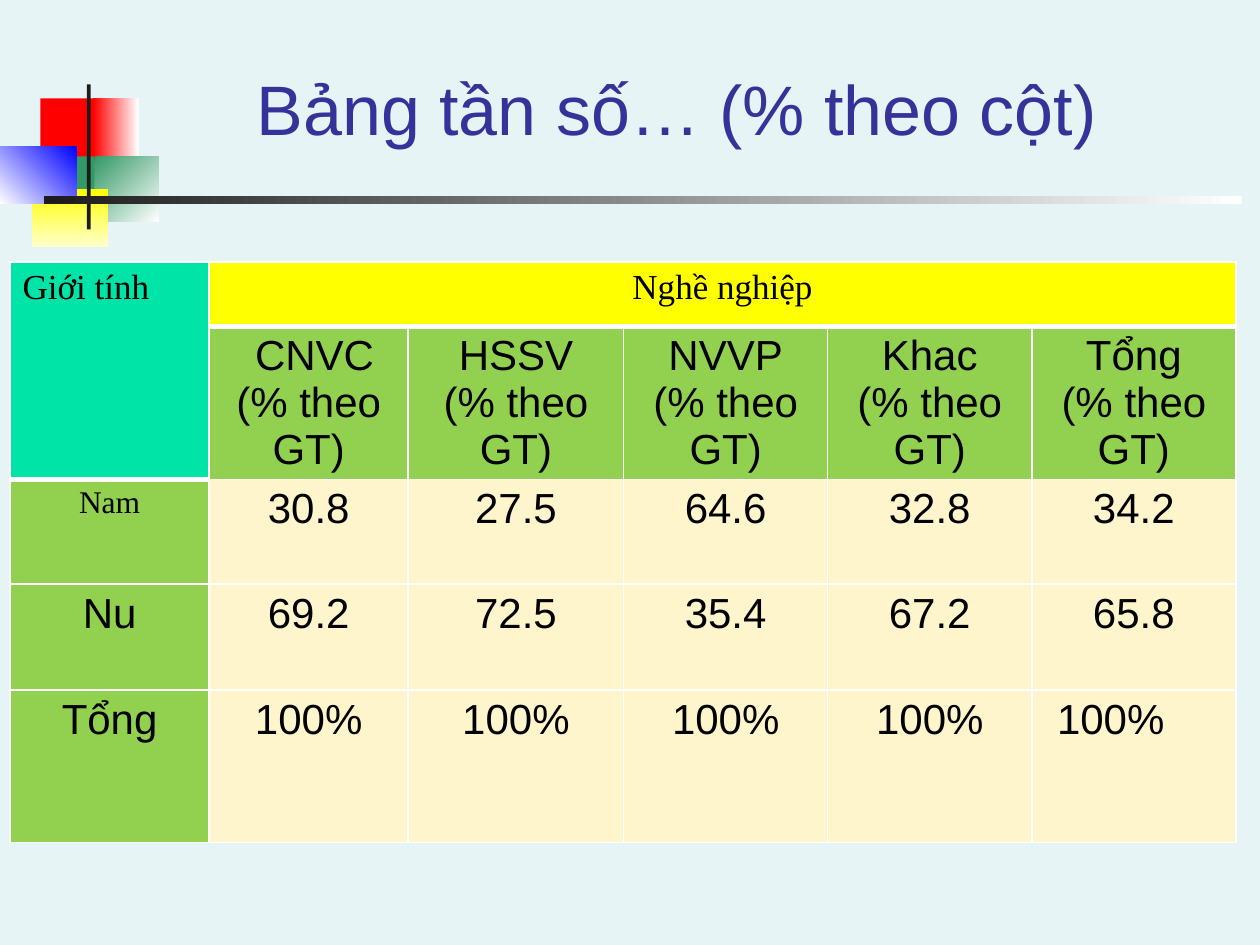
from lxml.etree import SubElement
from pptx import Presentation
from pptx.dml.color import RGBColor
from pptx.enum.shapes import MSO_SHAPE
from pptx.enum.text import MSO_ANCHOR, PP_ALIGN
from pptx.oxml.ns import qn
from pptx.util import Inches, Pt

TEAL, YELLOW, GREEN, CREAM = "00E4A8", "FFFF00", "92D050", "FFF5CC"
SERIF = "Times New Roman"


def color(code):
    """Turn a hex string into a colour."""
    return RGBColor.from_string(code)


def write(frame, text, size=24, font="Arial", ink="000000", align=PP_ALIGN.CENTER):
    """Fill a text frame with formatted lines."""
    frame.text = text
    for paragraph in frame.paragraphs:
        paragraph.alignment = align
        paragraph.font.size = Pt(size)
        paragraph.font.name = font
        paragraph.font.color.rgb = color(ink)


class FrequencySlide:
    """Hold the slide and its style, and add its elements."""

    def __init__(self, presentation, background):
        """Start a title-only slide with a plain background."""
        self.slide = presentation.slides.add_slide(presentation.slide_layouts[5])
        self.slide.background.fill.solid()
        self.slide.background.fill.fore_color.rgb = color(background)

    def title(self, text, box):
        """Place and format the title."""
        heading = self.slide.shapes.title
        heading.left, heading.top, heading.width, heading.height = map(Inches, box)
        heading.text_frame.vertical_anchor = MSO_ANCHOR.BOTTOM
        write(heading.text_frame, text, size=40, ink="333399")

    def block(self, box, start, end=None, angle=0):
        """Add a rectangle, solid or with a clockwise gradient angle."""
        block = self.slide.shapes.add_shape(MSO_SHAPE.RECTANGLE, *map(Inches, box))
        block.shadow.inherit = False
        block.line.fill.background()
        if end is None:
            block.fill.solid()
            block.fill.fore_color.rgb = color(start)
            return
        block.fill.gradient()
        block.fill.gradient_angle = (360 - angle) % 360
        for stop, position, code in zip(block.fill.gradient_stops, (0, 1), (start, end)):
            stop.position = position
            stop.color.rgb = color(code)

    def table(self, left, top, widths, heights):
        """Add an unbanded table with the given columns and rows."""
        table = self.slide.shapes.add_table(
            len(heights), len(widths), Inches(left), Inches(top),
            Inches(sum(widths)), Inches(sum(heights))).table
        table.first_row = table.horz_banding = False
        for column, width in zip(table.columns, widths):
            column.width = Inches(width)
        for row, height in zip(table.rows, heights):
            row.height = Inches(height)
        return table

    def cell(self, cell, text, fill, bottom=1, **style):
        """Border, fill and write one table cell."""
        properties = cell._tc.get_or_add_tcPr()
        for side, width in (("L", 1), ("R", 1), ("T", 1), ("B", bottom)):
            border = SubElement(properties, qn(f"a:ln{side}"), w=str(Pt(width)))
            SubElement(SubElement(border, qn("a:solidFill")), qn("a:srgbClr"), val="FFFFFF")
        cell.fill.solid()
        cell.fill.fore_color.rgb = color(fill)
        write(cell.text_frame, text, **style)


def main():
    """Build the frequency table slide."""
    presentation = Presentation()
    presentation.slide_width, presentation.slide_height = Inches(10), Inches(7.5)
    page = FrequencySlide(presentation, "E7F4F5")

    for ornament in (
        ((0.32, 0.78, 0.48, 0.52), "FF0000"),
        ((0.74, 0.78, 0.36, 0.52), "FF0000", "FFFFFF"),
        ((0.75, 1.24, 0.51, 0.52), "339966", "FFFFFF", 45),
        ((0.43, 1.24, 0.32, 0.52), "339966"),
        ((0.25, 1.5, 0.61, 0.46), YELLOW, "FFFFCC", 90),
        ((0, 1.16, 0.61, 0.46), "FFFFFF", "0000FF", 315),
        ((0.69, 0.67, 0.03, 1.15), "1C1C1C"),
        ((0.35, 1.56, 9.51, 0.06), "1C1C1C", "FFFFFF"),
    ):
        page.block(*ornament)

    table = page.table(0.08, 2.08, (1.58, 1.58, 1.71, 1.62, 1.62, 1.62),
                       (0.51, 1.21, 0.83, 0.84, 1.21))
    table.cell(0, 0).merge(table.cell(1, 0))
    table.cell(0, 1).merge(table.cell(0, 5))
    page.cell(table.cell(0, 0), "Giới tính", TEAL, bottom=3,
              size=20, font=SERIF, align=PP_ALIGN.LEFT)
    page.cell(table.cell(1, 0), "", TEAL, bottom=3)
    page.cell(table.cell(0, 1), "Nghề nghiệp", YELLOW, bottom=3, size=20, font=SERIF)
    for column in range(2, 6):
        page.cell(table.cell(0, column), "", YELLOW, bottom=3)

    for column, job in enumerate((" CNVC", "HSSV", "NVVP", "Khac", "Tổng"), 1):
        page.cell(table.cell(1, column), f"{job}\n(% theo GT)", GREEN)

    shares = (
        ("Nam", ("30.8", "27.5", "64.6", "32.8", "34.2")),
        ("Nu", ("69.2", "72.5", "35.4", "67.2", "65.8")),
        ("Tổng", ("100%",) * 5),
    )
    for row, (gender, values) in enumerate(shares, 2):
        label_style = {"size": 18, "font": SERIF} if gender == "Nam" else {}
        page.cell(table.cell(row, 0), gender, GREEN, **label_style)
        for column, value in enumerate(values, 1):
            page.cell(table.cell(row, column), value, CREAM)

    grand_total = table.cell(4, 5)
    grand_total.margin_left = Inches(0.2)
    grand_total.text_frame.paragraphs[0].alignment = PP_ALIGN.LEFT

    page.title("Bảng tần số… (% theo cột)", (1, 0.32, 8.74, 0.92))
    presentation.save("out.pptx")


if __name__ == "__main__":
    main()
